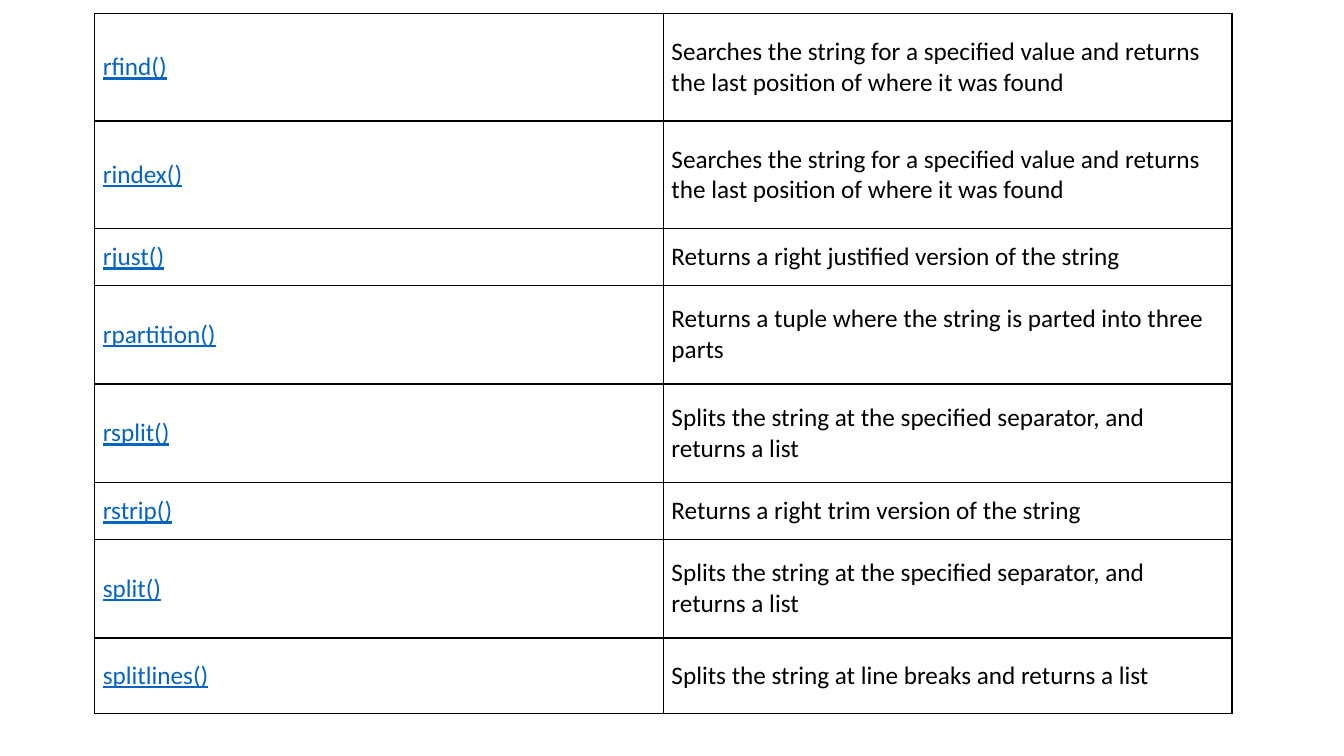
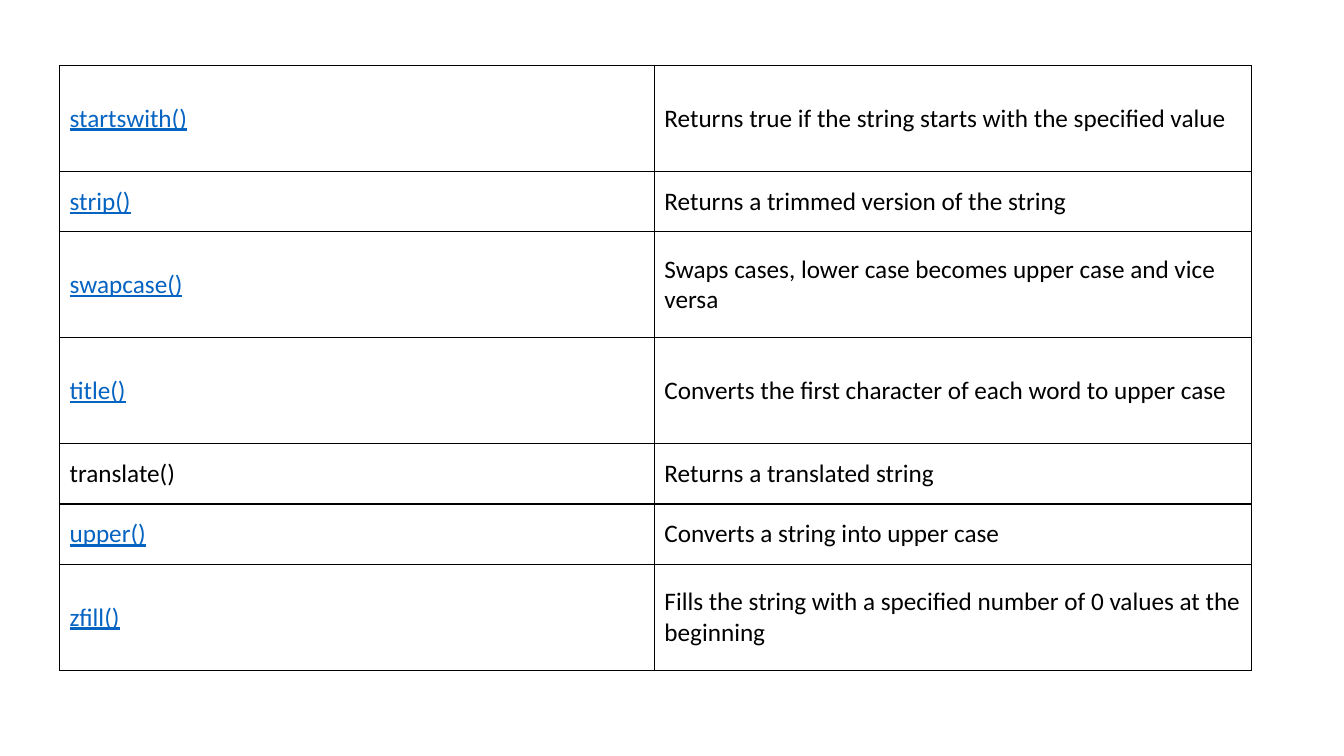
from dataclasses import dataclass

from lxml.etree import SubElement
from pptx import Presentation
from pptx.dml.color import RGBColor
from pptx.enum.text import MSO_ANCHOR
from pptx.oxml.ns import qn
from pptx.slide import Slide
from pptx.table import _Cell as Cell
from pptx.util import Inches, Pt

# Shared style
COLORS = {"text": "000000", "link": "0563C1", "border": "000000"}
FONT = {"name": "Calibri", "size": Pt(18), "bold": False}
BORDER_WIDTH = Pt(1)
BORDER_SIDES = ("a:lnL", "a:lnR", "a:lnT", "a:lnB")


@dataclass(frozen=True)
class Method:
    name: str
    description: str
    height: float
    linked: bool = True


@dataclass(frozen=True)
class MethodTable:
    left: float
    top: float
    columns: tuple[float, float]
    margin_x: float
    margin_y: float
    methods: tuple[Method, ...]


# Content, one table per slide
TALL, MEDIUM, LOW = 1.07, 0.98, 0.56
LAST_POSITION = ("Searches the string for a specified value and returns "
                 "the last position of where it was found")
SPLIT_AT = "Splits the string at the specified separator, and returns a list"
r_to_split = MethodTable(0.94, 0.13, (5.64, 5.64), 0.08, 0.04, (
    Method("rfind()", LAST_POSITION, TALL),
    Method("rindex()", LAST_POSITION, TALL),
    Method("rjust()", "Returns a right justified version of the string", LOW),
    Method("rpartition()",
           "Returns a tuple where the string is parted into three parts", MEDIUM),
    Method("rsplit()", SPLIT_AT, MEDIUM),
    Method("rstrip()", "Returns a right trim version of the string", LOW),
    Method("split()", SPLIT_AT, MEDIUM),
    Method("splitlines()", "Splits the string at line breaks and returns a list", 0.75),
))

DOUBLE, SINGLE = 1.05, 0.6
starts_to_zfill = MethodTable(0.59, 0.65, (5.9, 5.92), 0.1, 0.05, (
    Method("startswith()",
           "Returns true if the string starts with the specified value", DOUBLE),
    Method("strip()", "Returns a trimmed version of the string", SINGLE),
    Method("swapcase()",
           "Swaps cases, lower case becomes upper case and vice versa", DOUBLE),
    Method("title()",
           "Converts the first character of each word to upper case", DOUBLE),
    Method("translate()", "Returns a translated string", SINGLE, linked=False),
    Method("upper()", "Converts a string into upper case", SINGLE),
    Method("zfill()", "Fills the string with a specified number of 0 values "
                      "at the beginning", DOUBLE),
))


def set_attributes(target: object, values: dict) -> None:
    for attribute, value in values.items():
        setattr(target, attribute, value)


def draw_borders(cell: Cell) -> None:
    properties = cell._tc.get_or_add_tcPr()
    for side in BORDER_SIDES:
        line = SubElement(properties, qn(side), w=str(BORDER_WIDTH))
        fill = SubElement(line, qn("a:solidFill"))
        SubElement(fill, qn("a:srgbClr"), val=COLORS["border"])


def fill_cell(cell: Cell, text: str, linked: bool, layout: dict) -> None:
    set_attributes(cell, layout)
    draw_borders(cell)
    cell.fill.background()
    run = cell.text_frame.paragraphs[0].add_run()
    run.text = text
    set_attributes(run.font, FONT | {"underline": linked})
    run.font.color.rgb = RGBColor.from_string(COLORS["link" if linked else "text"])


def draw_table(slide: Slide, content: MethodTable) -> None:
    height = sum(method.height for method in content.methods)
    table = slide.shapes.add_table(
        len(content.methods), len(content.columns),
        Inches(content.left), Inches(content.top),
        Inches(sum(content.columns)), Inches(height)).table
    set_attributes(table, {"first_row": False, "horz_banding": False})
    for column, width in zip(table.columns, content.columns):
        column.width = Inches(width)

    side, edge = Inches(content.margin_x), Inches(content.margin_y)
    layout = {"margin_left": side, "margin_right": side, "margin_top": edge,
              "margin_bottom": edge, "vertical_anchor": MSO_ANCHOR.MIDDLE}
    for row, method in zip(table.rows, content.methods):
        row.height = Inches(method.height)
        name_cell, description_cell = row.cells
        fill_cell(name_cell, method.name, method.linked, layout)
        fill_cell(description_cell, method.description, False, layout)


# Build the slides
deck = Presentation()
set_attributes(deck, {"slide_width": Inches(13.33), "slide_height": Inches(7.5)})
blank = deck.slide_layouts.get_by_name("Blank")
for method_table in (r_to_split, starts_to_zfill):
    draw_table(deck.slides.add_slide(blank), method_table)
deck.save("out.pptx")
